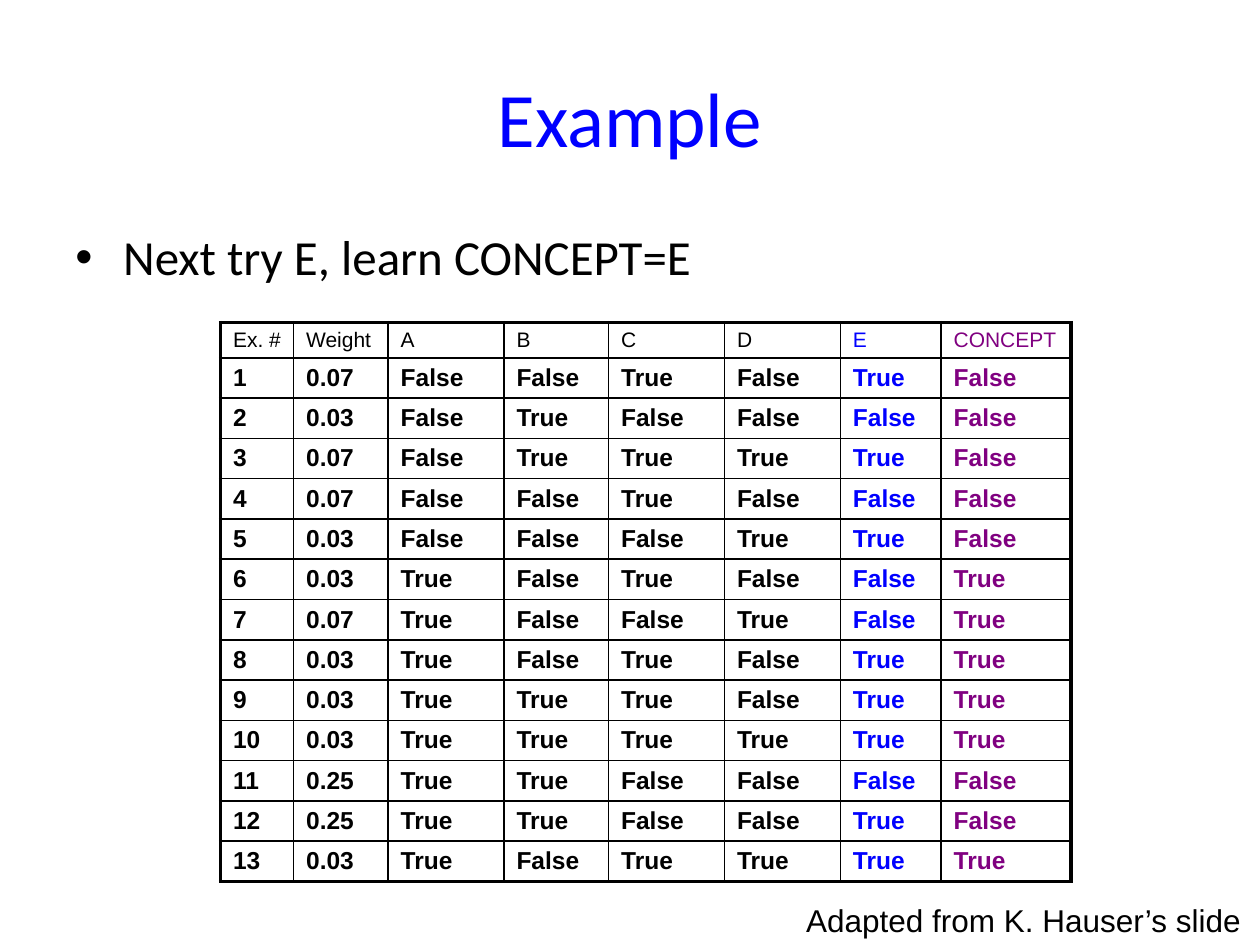
from dataclasses import dataclass

from lxml.etree import SubElement
from pptx import Presentation
from pptx.dml.color import RGBColor
from pptx.enum.text import MSO_ANCHOR as Anchor, PP_ALIGN as Align
from pptx.oxml.ns import qn
from pptx.slide import Slide
from pptx.util import Inches, Pt

COLUMNS = {"Ex. #": 0.58, "Weight": 0.75, "A": 0.92, "B": 0.83,
           "C": 0.92, "D": 0.92, "E": 0.8, "CONCEPT": 1.03}
EXAMPLES = [
    ("0.07", "FFTFTF"), ("0.03", "FTFFFF"), ("0.07", "FTTTTF"),
    ("0.07", "FFTFFF"), ("0.03", "FFFTTF"), ("0.03", "TFTFFT"),
    ("0.07", "TFFTFT"), ("0.03", "TFTFTT"), ("0.03", "TTTFTT"),
    ("0.03", "TTTTTT"), ("0.25", "TTFFFF"), ("0.25", "TTFFTF"),
    ("0.03", "TFTTTT"),
]
TRUTH = {"T": "True", "F": "False"}


def color(value):
    return RGBColor.from_string(value)


@dataclass
class SlideBuilder:
    """Draws styled text and tables on the current slide."""

    slide: Slide
    heading_font: str = "Calibri"
    label_font: str = "Arial"
    ink: str = "000000"
    accent: str = "0000FF"
    target: str = "800080"
    thin: float = 1
    thick: float = 2.25

    def style(self, paragraph, font, size, fill, bold=False):
        for run in paragraph.runs:
            run.font.name = font
            run.font.size = Pt(size)
            run.font.bold = bold
            run.font.color.rgb = color(fill)

    def text(self, content, box, font, size, fill, align=Align.LEFT,
             anchor=Anchor.TOP, wrap=True):
        shape = self.slide.shapes.add_textbox(*map(Inches, box))
        text_frame = shape.text_frame
        text_frame.text = content
        text_frame.word_wrap = wrap
        text_frame.vertical_anchor = anchor
        paragraph = text_frame.paragraphs[0]
        paragraph.alignment = align
        self.style(paragraph, font, size, fill)
        return paragraph

    def title(self, content, box):
        self.text(content, box, self.heading_font, 44, self.accent,
                  Align.CENTER, Anchor.MIDDLE)

    def bullet(self, content, box):
        paragraph = self.text(content, box, self.heading_font, 28, self.ink)
        properties = paragraph._p.get_or_add_pPr()
        properties.set("marL", str(Inches(0.38)))
        properties.set("indent", str(-Inches(0.38)))
        SubElement(properties, qn("a:buFont"), typeface=self.label_font)
        SubElement(properties, qn("a:buChar"), char="•")

    def borders(self, cell, widths):
        properties = cell._tc.get_or_add_tcPr()
        for side, width in zip("LRTB", widths):
            line = SubElement(properties, qn(f"a:ln{side}"), w=str(Pt(width)))
            fill = SubElement(line, qn("a:solidFill"))
            SubElement(fill, qn("a:srgbClr"), val=self.ink)

    def table(self, rows, widths, heights, left, top):
        frame = self.slide.shapes.add_table(
            len(rows), len(widths), Inches(left), Inches(top),
            Inches(sum(widths)), Inches(sum(heights)))
        table = frame.table
        table.first_row = table.horz_banding = False
        for column, width in zip(table.columns, widths):
            column.width = Inches(width)
        for row, height in zip(table.rows, heights):
            row.height = Inches(height)

        last_row, last_column = len(rows) - 1, len(widths) - 1
        fills = {last_column - 1: self.accent, last_column: self.target}
        for r, values in enumerate(rows):
            for c, value in enumerate(values):
                cell = table.cell(r, c)
                cell.text_frame.text = value
                cell.margin_top = Inches(0.05)
                cell.margin_bottom = Inches(0.02)
                self.style(cell.text_frame.paragraphs[0], self.label_font,
                           14 if r else 12, fills.get(c, self.ink), r > 0)
                edges = (c == 0, c == last_column, r == 0, r == last_row)
                self.borders(cell, [self.thick if edge else self.thin
                                    for edge in edges])
                cell.fill.background()

    def credit(self, content, box):
        self.text(content, box, self.label_font, 18, self.ink, wrap=False)


def main():
    presentation = Presentation()
    presentation.slide_width = Inches(10)
    presentation.slide_height = Inches(7.5)
    builder = SlideBuilder(
        presentation.slides.add_slide(presentation.slide_layouts[6]))

    builder.title("Example", (0.5, 0.3, 9, 1.25))
    builder.bullet("Next try E, learn CONCEPT=E", (0.5, 1.75, 9, 4.95))
    rows = [list(COLUMNS)] + [
        [str(number), weight, *(TRUTH[flag] for flag in flags)]
        for number, (weight, flags) in enumerate(EXAMPLES, 1)]
    heights = [0.28] + [0.32] * len(EXAMPLES)
    builder.table(rows, list(COLUMNS.values()), heights, 1.75, 2.56)
    builder.credit("Adapted from K. Hauser’s slide", (6.3, 7.1, 3.7, 0.4))

    presentation.save("out.pptx")


if __name__ == "__main__":
    main()
